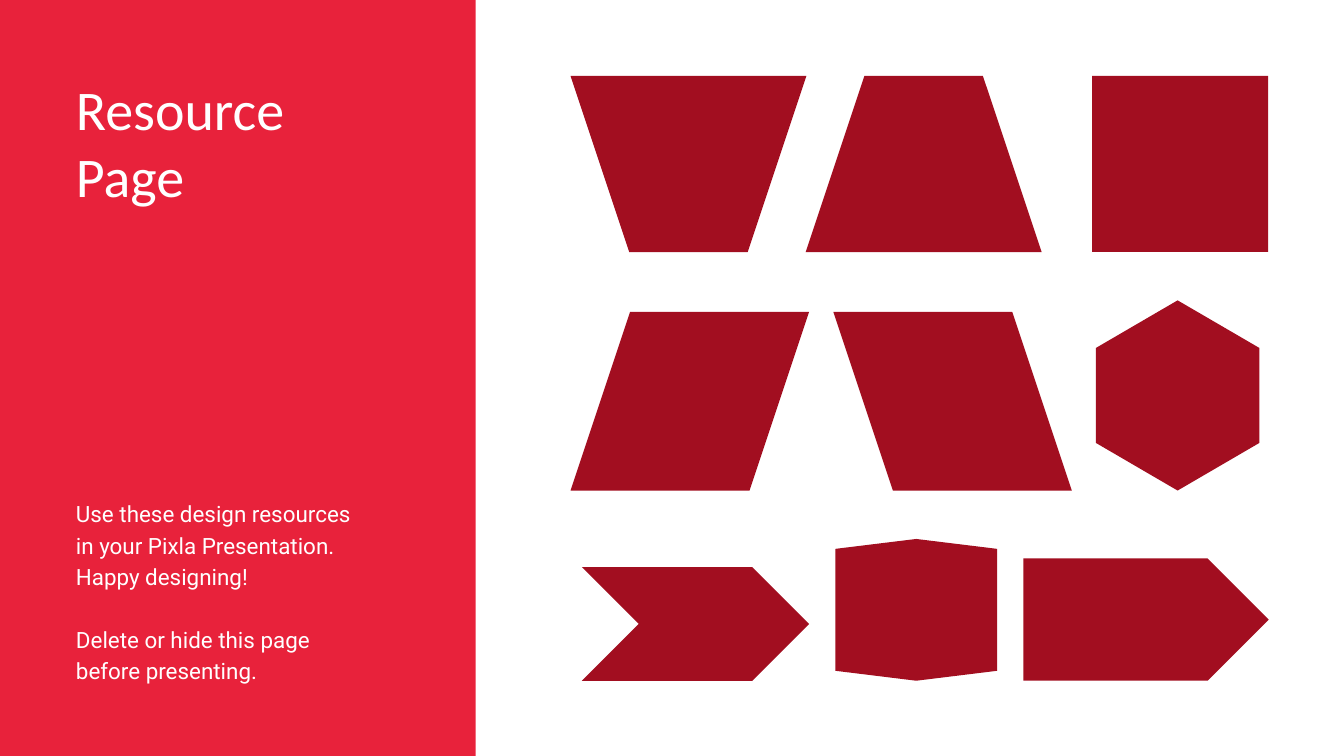
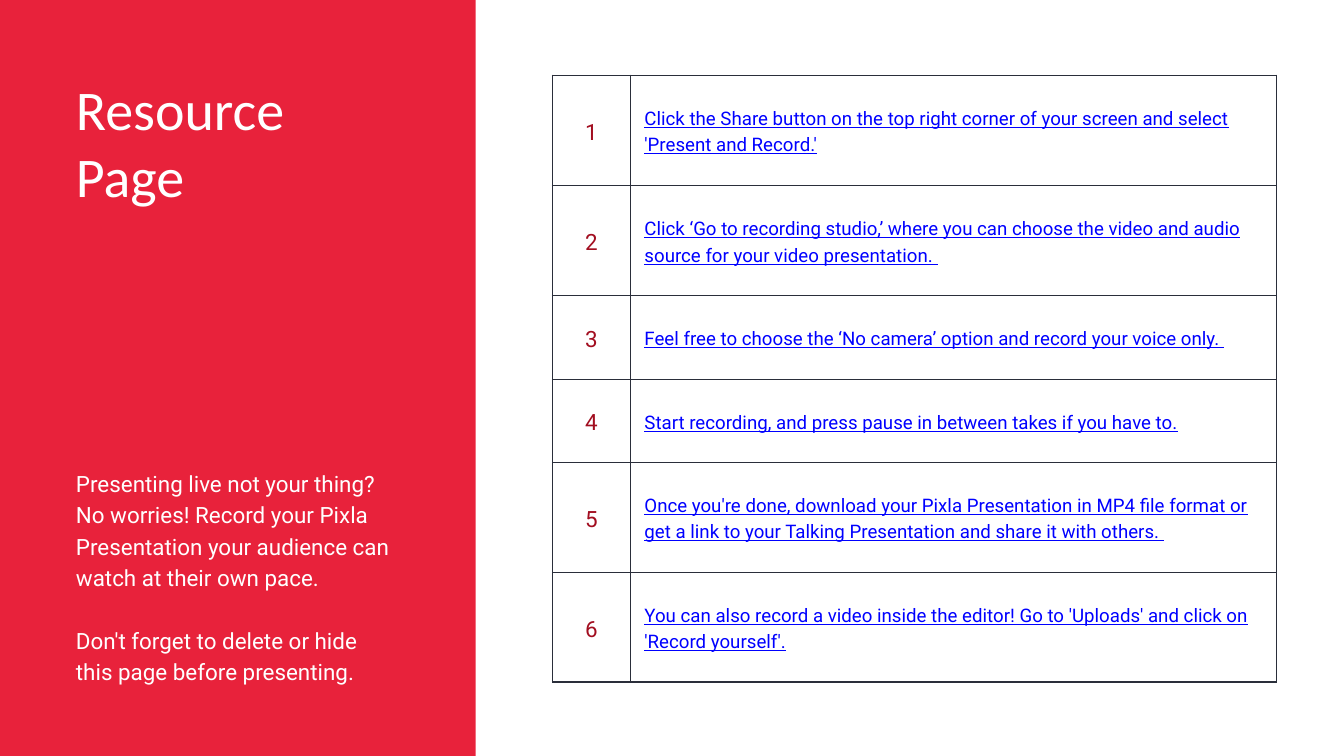
from lxml.etree import SubElement
from pptx import Presentation
from pptx.dml.color import RGBColor
from pptx.enum.shapes import MSO_SHAPE
from pptx.enum.text import MSO_ANCHOR, MSO_AUTO_SIZE, PP_ALIGN
from pptx.oxml.ns import qn
from pptx.util import Pt

RED, DARK_RED, WHITE = "E8223B", "A20E20", "FFFFFF"
LINK_BLUE, BORDER = "0000FF", "2A2E3A"

presentation = Presentation()
presentation.slide_width, presentation.slide_height = Pt(1440), Pt(810)
unit = presentation.slide_width // 20
margin, panel_width, content_bottom = 1.13, 7.08, 10.13


def paint(fill, color):
    fill.solid()
    fill.fore_color.rgb = RGBColor.from_string(color)


def format_paragraph(paragraph, font_name, size, color, spacing, alignment=PP_ALIGN.LEFT):
    paragraph.alignment = alignment
    paragraph.line_spacing = Pt(size * spacing)
    paragraph.space_before = Pt(0)
    paragraph.font.name = font_name
    paragraph.font.size = Pt(size)
    paint(paragraph.font.fill, color)


resource_texts = [
    [
        ["Use these design resources", "in your Pixla Presentation. Happy designing!"],
        ["Delete or hide this page", "before presenting."],
    ],
    [
        ["Presenting live not your thing? No worries! Record your Pixla "
         "Presentation your audience can watch at their own pace."],
        ["Don't forget to delete or hide this page before presenting."],
    ],
]
body_heights = [2.75, 3.2]

layout = presentation.slide_layouts[1]
slides = []
for blocks, body_height in zip(resource_texts, body_heights):
    slide = presentation.slides.add_slide(layout)
    slides.append(slide)

    panel = slide.shapes.add_shape(
        MSO_SHAPE.RECTANGLE, 0, 0, int(panel_width * unit), presentation.slide_height)
    panel.shadow.inherit = False
    paint(panel.fill, RED)
    panel.line.fill.background()
    slide.shapes._spTree.insert(2, panel._element)

    title, body = slide.placeholders
    boxes = [(title, 1.11, 5.07, 2.01), (body, content_bottom - body_height, 4.68, body_height)]
    for shape, top, width, height in boxes:
        shape.left, shape.top = int(margin * unit), int(top * unit)
        shape.width, shape.height = int(width * unit), int(height * unit)
        frame = shape.text_frame
        frame.margin_left = frame.margin_top = frame.margin_right = frame.margin_bottom = 0
        frame.vertical_anchor = MSO_ANCHOR.TOP
        frame.auto_size = MSO_AUTO_SIZE.NONE
        frame.word_wrap = True

    title.text_frame.text = "Resource\nPage"
    for paragraph in title.text_frame.paragraphs:
        format_paragraph(paragraph, "Calibri", 60, WHITE, 1.2)

    body.text_frame.text = "\n".join(line for block in blocks for line in block)
    for paragraph in body.text_frame.paragraphs:
        properties = paragraph._p.get_or_add_pPr()
        properties.set("marL", "0")
        properties.set("indent", "0")
        SubElement(properties, qn("a:buNone"))
        format_paragraph(paragraph, "Roboto", 24, WHITE, 1.4)
    body.text_frame.paragraphs[len(blocks[0])].space_before = Pt(33.6)

shapes_slide, recording_slide = slides

row_bottoms = [3.75, 7.3, content_bottom]
preset_shapes = [
    (MSO_SHAPE.TRAPEZOID, 0, 8.49, 3.51, 2.62, 1 / 3, 180),
    (MSO_SHAPE.TRAPEZOID, 0, 11.99, 3.51, 2.62, 1 / 3, 0),
    (MSO_SHAPE.RECTANGLE, 0, 16.25, 2.62, 2.62, None, 0),
    (MSO_SHAPE.PARALLELOGRAM, 1, 8.49, 3.55, 2.66, 1 / 3, 0),
    (MSO_SHAPE.CHEVRON, 2, 8.66, 3.38, 1.69, 0.5, 0),
    (MSO_SHAPE.PENTAGON, 2, 15.23, 3.65, 1.82, 0.5, 0),
]
mirrored_parallelogram = [(0, 0), (0.75, 0), (1, 1), (0.25, 1)]
hexagon = [(0.5, 0), (1, 0.25), (1, 0.75), (0.5, 1), (0, 0.75), (0, 0.25)]
shield = [(0, 0.07), (0.5, 0), (1, 0.07), (1, 0.93), (0.5, 1), (0, 0.93)]
outline_shapes = [
    (mirrored_parallelogram, 1, 12.4, 3.55, 2.66),
    (hexagon, 1, 16.31, 2.43, 2.83),
    (shield, 2, 12.43, 2.41, 2.11),
]

design_shapes = []
for kind, row, left, width, height, adjustment, rotation in preset_shapes:
    top = row_bottoms[row] - height
    shape = shapes_slide.shapes.add_shape(
        kind, *[int(length * unit) for length in (left, top, width, height)])
    if adjustment is not None:
        shape.adjustments[0] = adjustment
    if rotation:
        shape.rotation = rotation
    design_shapes.append(shape)

for corners, row, left, width, height in outline_shapes:
    top = row_bottoms[row] - height
    points = [(int((left + x * width) * unit), int((top + y * height) * unit)) for x, y in corners]
    builder = shapes_slide.shapes.build_freeform(*points[0])
    builder.add_line_segments(points[1:])
    design_shapes.append(builder.convert_to_shape())

for shape in design_shapes:
    shape.shadow.inherit = False
    paint(shape.fill, DARK_RED)
    shape.line.fill.background()

steps = [
    "Click the Share button on the top right corner of your screen and select 'Present and Record.'",
    "Click ‘Go to recording studio,’ where you can choose the video and audio source for your "
    "video presentation. ",
    "Feel free to choose the ‘No camera’ option and record your voice only. ",
    "Start recording, and press pause in between takes if you have to.",
    "Once you're done, download your Pixla Presentation in MP4 file format or get a link to your "
    "Talking Presentation and share it with others. ",
    "You can also record a video inside the editor! Go to 'Uploads' and click on 'Record yourself'.",
]
column_widths = [1.16, 9.62]
row_heights = [1.64, 1.64, 1.24, 1.24, 1.64, 1.63]

table_frame = recording_slide.shapes.add_table(
    len(steps), 2, int(8.22 * unit), int(1.12 * unit),
    int(sum(column_widths) * unit), int(sum(row_heights) * unit))
table = table_frame.table
table.first_row = table.horz_banding = False
for column, width in zip(table.columns, column_widths):
    column.width = int(width * unit)
for row, height in zip(table.rows, row_heights):
    row.height = int(height * unit)

last_row = len(steps) - 1
for row_index, step in enumerate(steps):
    for column_index, text in enumerate([str(row_index + 1), step]):
        cell = table.cell(row_index, column_index)
        cell.text = text
        cell.vertical_anchor = MSO_ANCHOR.MIDDLE
        cell.margin_left = cell.margin_right = int(0.21 * unit)
        cell.margin_top = cell.margin_bottom = int(0.21 * unit)
        paragraph = cell.text_frame.paragraphs[0]
        if column_index == 0:
            format_paragraph(paragraph, "Roboto", 24, DARK_RED, 1.4, PP_ALIGN.CENTER)
        else:
            format_paragraph(paragraph, "Roboto", 20, LINK_BLUE, 1.4)
            paragraph.font.underline = True

        outer_edges = {
            "a:lnL": column_index == 0,
            "a:lnR": column_index == 1,
            "a:lnT": row_index == 0,
            "a:lnB": row_index == last_row,
        }
        properties = cell._tc.get_or_add_tcPr()
        for edge, is_outer in outer_edges.items():
            line = SubElement(properties, qn(edge), w=str(Pt(1.5 if is_outer else 0.75)))
            SubElement(SubElement(line, qn("a:solidFill")), qn("a:srgbClr"), val=BORDER)
        cell.fill.background()

presentation.save("out.pptx")
